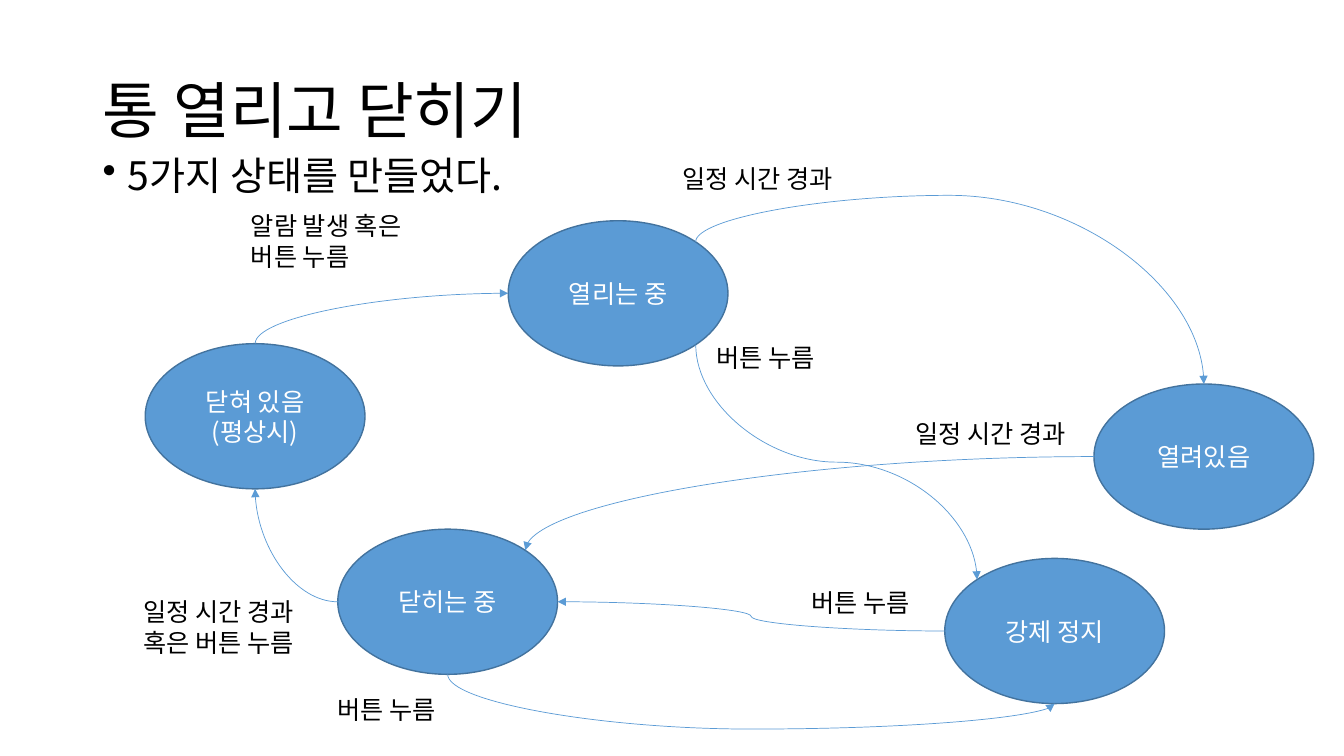
from dataclasses import dataclass
from math import cos, radians, sin

from lxml.etree import SubElement
from pptx import Presentation
from pptx.dml.color import RGBColor
from pptx.enum.shapes import MSO_CONNECTOR as Link, MSO_SHAPE as Form
from pptx.enum.text import MSO_ANCHOR as Anchor, MSO_AUTO_SIZE as Fit, PP_ALIGN as Align
from pptx.oxml.ns import qn
from pptx.util import Emu, Pt

FONT = "Noto Sans CJK KR"
BLACK, WHITE, BLUE, NAVY = "000000", "FFFFFF", "5B9BD5", "43739E"
OVAL_W, OVAL_H = 218, 144


@dataclass(frozen=True)
class State:
    text: str
    x: int
    y: int

    def site(self, angle: int) -> tuple[int, int]:
        """Point on the rim, clockwise in degrees from the right."""
        turn = radians(angle)
        return (round(self.x + OVAL_W / 2 * (1 + cos(turn))),
                round(self.y + OVAL_H / 2 * (1 + sin(turn))))


@dataclass(frozen=True)
class Arrow:
    start: State
    leave: int
    end: State
    reach: int
    bend: int = 50000


@dataclass(frozen=True)
class Label:
    text: str
    x: int
    y: int
    w: int
    h: int = 40
    wrap: bool = True


CLOSED = State("닫혀 있음\n(평상시)", 144, 341)
OPENING = State("열리는 중", 504, 219)
OPENED = State("열려있음", 1085, 381)
STOPPED = State("강제 정지", 937, 554)
CLOSING = State("닫히는 중", 335, 525)
STATES = [CLOSED, OPENING, OPENED, STOPPED, CLOSING]

ARROWS = [
    Arrow(CLOSED, 270, OPENING, 180),
    Arrow(OPENING, 315, OPENED, 270, -32800),
    Arrow(OPENED, 180, CLOSING, 315),
    Arrow(OPENING, 45, STOPPED, 225),
    Arrow(STOPPED, 180, CLOSING, 0),
    Arrow(CLOSING, 90, STOPPED, 90, 187100),
    Arrow(CLOSING, 180, CLOSED, 90),
]

PRESS, ELAPSE = "버튼 누름", "일정 시간 경과"
LABELS = [
    Label("알람 발생 혹은 버튼 누름", 239, 204, 192, 71),
    Label(PRESS, 701, 335, 130, wrap=False),
    Label(PRESS, 325, 684, 130, wrap=False),
    Label(PRESS, 795, 578, 130, wrap=False),
    Label(ELAPSE, 898, 410, 188),
    Label(ELAPSE, 667, 157, 188),
    Label(ELAPSE + "\n혹은 버튼 누름", 132, 587, 188, 71),
]


def px(n: float) -> Emu:
    return Emu(round(n * 9144))


def rgb(code: str) -> RGBColor:
    return RGBColor.from_string(code)


def write(frame, text: str, size: int, color: str, align=Align.LEFT):
    par = frame.paragraphs[0]
    par.text = text
    par.alignment = align
    font = par.font
    font.name, font.size = FONT, Pt(size)
    font.color.rgb = rgb(color)
    SubElement(par._p.pPr.find(qn("a:defRPr")), qn("a:ea"), typeface=FONT)
    return par


def add_title(slide, text: str) -> None:
    title = slide.shapes.title
    title.left, title.top, title.width, title.height = map(px, (92, 40, 1150, 145))
    title.text_frame.vertical_anchor = Anchor.MIDDLE
    write(title.text_frame, text, 44, BLACK).line_spacing = 0.9


def add_point(slide, text: str) -> None:
    frame = slide.shapes.add_textbox(*map(px, (92, 150, 1150, 476))).text_frame
    frame.word_wrap = True
    par = write(frame, text, 28, BLACK)
    par.line_spacing, par.space_before = 0.9, Pt(10)
    props = par._p.pPr
    props.set("marL", str(px(25)))
    props.set("indent", str(px(-25)))
    dot = SubElement(props, qn("a:buChar"), char="•")
    props.find(qn("a:defRPr")).addprevious(dot)


def add_state(slide, state: State) -> None:
    oval = slide.shapes.add_shape(
        Form.OVAL, px(state.x), px(state.y), px(OVAL_W), px(OVAL_H))
    oval.shadow.inherit = False
    oval.fill.solid()
    oval.fill.fore_color.rgb = rgb(BLUE)
    oval.line.color.rgb = rgb(NAVY)
    oval.line.width = Pt(1)
    oval.text_frame.vertical_anchor = Anchor.MIDDLE
    write(oval.text_frame, state.text, 18, WHITE, Align.CENTER)


def add_arrow(slide, arrow: Arrow) -> None:
    """Curve whose frame is turned so that its local x axis leaves the start."""
    x1, y1 = arrow.start.site(arrow.leave)
    x2, y2 = arrow.end.site(arrow.reach)
    w, h, down = abs(x2 - x1), abs(y2 - y1), y2 > y1
    upright, landing = arrow.leave % 180 != 0, arrow.reach % 180 != 0
    if upright:
        w, h = h, w
        turn, flips = (270, ["flipH"]) if down else (90, ["flipH", "flipV"])
    else:
        turn, flips = 180, ["flipV"] if down else []
    left, top = (x1 + x2 - w) / 2, (y1 + y2 - h) / 2
    curve = slide.shapes.add_connector(
        Link.CURVE, px(left), px(top), px(left + w), px(top + h))
    curve.line.color.rgb = rgb(BLUE)
    curve.line.width = Pt(0.5)
    props = curve._element.spPr
    frame = props.find(qn("a:xfrm"))
    frame.set("rot", str(turn * 60000))
    for flip in flips:
        frame.set(flip, "1")
    shape = props.find(qn("a:prstGeom"))
    if upright != landing:
        shape.set("prst", "curvedConnector2")
    else:
        SubElement(shape.find(qn("a:avLst")), qn("a:gd"),
                   name="adj1", fmla=f"val {arrow.bend}")
    SubElement(props.find(qn("a:ln")), qn("a:tailEnd"), type="triangle")
    SubElement(props, qn("a:effectLst"))


def add_label(slide, label: Label) -> None:
    box = slide.shapes.add_textbox(*map(px, (label.x, label.y, label.w, label.h)))
    box.text_frame.word_wrap = label.wrap
    box.text_frame.auto_size = Fit.SHAPE_TO_FIT_TEXT
    write(box.text_frame, label.text, 18, BLACK)


def main() -> None:
    deck = Presentation()
    deck.slide_width, deck.slide_height = px(1333), px(750)
    slide = deck.slides.add_slide(deck.slide_layouts[5])
    add_title(slide, "통 열리고 닫히기")
    add_point(slide, "5가지 상태를 만들었다.")
    for state in STATES:
        add_state(slide, state)
    for arrow in ARROWS:
        add_arrow(slide, arrow)
    for label in LABELS:
        add_label(slide, label)
    deck.save("out.pptx")


if __name__ == "__main__":
    main()
